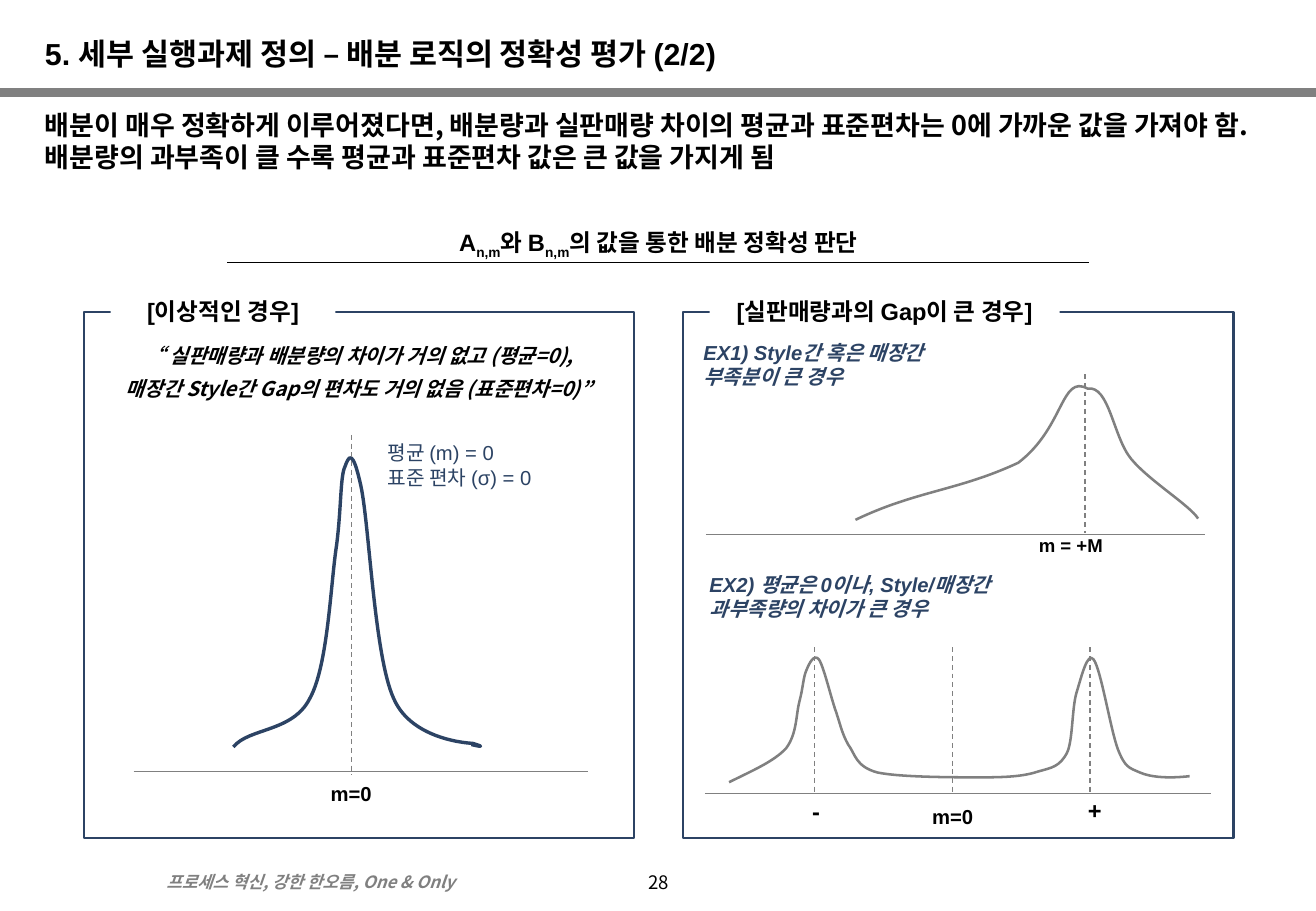
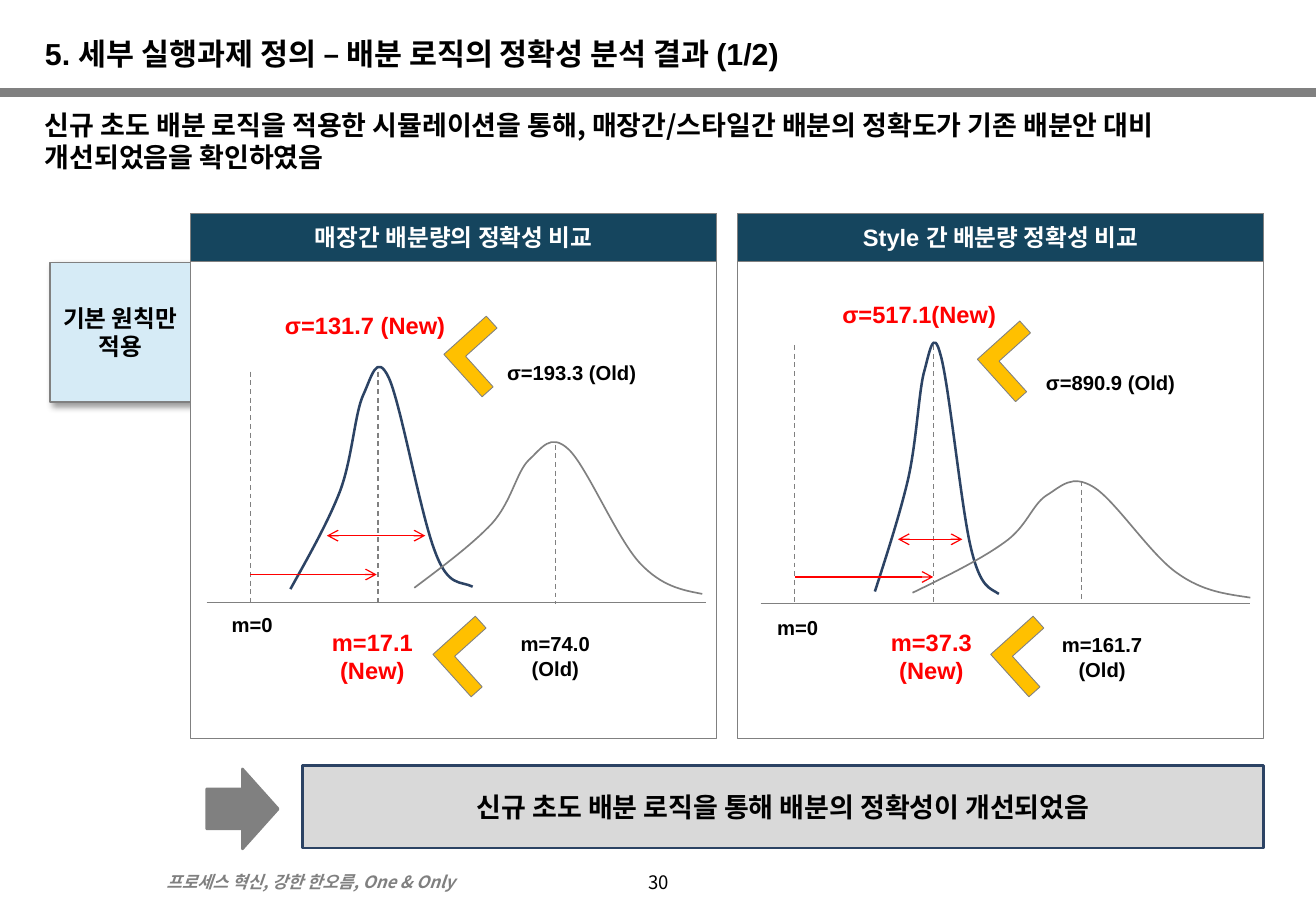
from dataclasses import dataclass, replace

from lxml.etree import SubElement
from pptx import Presentation
from pptx.dml.color import RGBColor
from pptx.enum.dml import MSO_LINE
from pptx.enum.shapes import MSO_CONNECTOR, MSO_SHAPE as Shape
from pptx.enum.text import MSO_ANCHOR as Anchor, MSO_AUTO_SIZE as AutoSize, PP_ALIGN as Align
from pptx.oxml.ns import qn
from pptx.util import Cm, Pt


@dataclass(frozen=True)
class Type:
    size: float
    color: str = "000000"
    font: str = "Arial"
    bold: bool = True
    italic: bool = False


class Theme:
    navy, gray, red, gold = "2C4364", "808080", "FF0000", "FFC000"
    white, header, pale, silver = "FFFFFF", "15455E", "D6EBF6", "D9D9D9"
    korean = "Noto Sans CJK KR"
    title = Type(18)
    lead = Type(16, font=korean)
    banner = Type(16)
    heading = Type(14)
    header_text = replace(heading, color=white)
    new = replace(heading, color=red)
    label = Type(12)
    small = Type(11)
    note = Type(12, navy, bold=False)
    example = Type(12, navy, italic=True)
    quote = Type(12, font=korean, italic=True)
    number = Type(11, font=korean, bold=False)
    motto = Type(10, gray, korean, italic=True)


# Positions are in slide units of one inch; length() turns them into Cm.
WIDTH, HEIGHT = 10.83, 7.5
MOTTO = "프로세스 혁신, 강한 한오름, One & Only"

EVALUATION = {
    "title": "5. 세부 실행과제 정의 – 배분 로직의 정확성 평가 (2/2)",
    "lead": "배분이 매우 정확하게 이루어졌다면, 배분량과 실판매량 차이의 평균과 표준편차는 0에 가까운 값을 "
            "가져야 함. 배분량의 과부족이 클 수록 평균과 표준편차 값은 큰 값을 가지게 됨",
    "number": "28",
}
SUBTITLE = "A|n,m|와 B|n,m|의 값을 통한 배분 정확성 판단"  # text between bars is subscript
CASES = [  # frame left, caption, caption width
    (0.69, "[이상적인 경우]", 1.85),
    (5.62, "[실판매량과의 Gap이 큰 경우]", 2.88),
]
QUOTE = ["“ 실판매량과 배분량의 차이가 거의 없고 (평균=0),",
         "매장간 Style간 Gap의 편차도 거의 없음 (표준편차=0)”"]
CASE_NOTES = [  # text, box, type, alignment, wrap
    (["평균 (m) = 0", "표준 편차 (σ) = 0"], (3.09, 3.58, 1.52, 0.44), Theme.note, Align.LEFT, False),
    ("EX1) Style간 혹은 매장간\v부족분이 큰 경우", (5.69, 2.75, 2.14, 0.5), Theme.example, Align.LEFT, False),
    ("EX2) 평균은 0이나, Style/매장간\v과부족량의 차이가 큰 경우", (5.74, 4.66, 3.32, 0.5),
     Theme.example, Align.LEFT, True),
    ("m=0", (2.53, 6.38, 0.72, 0.3), Theme.label, Align.CENTER, True),
    ("m = +M", (8.45, 4.35, 0.82, 0.29), Theme.small, Align.LEFT, False),
    ("m=0", (7.55, 6.57, 0.58, 0.3), Theme.label, Align.CENTER, False),
    ("-", (6.54, 6.51, 0.35, 0.34), Theme.heading, Align.CENTER, False),
    ("+", (8.84, 6.5, 0.34, 0.34), Theme.heading, Align.CENTER, False),
]
CASE_AXES = [(1.1, 4.84, 6.35), (5.81, 9.92, 4.4), (5.8, 9.97, 6.53)]  # left, right, y
CASE_MEANS = [(2.89, 3.58, 6.38), (8.93, 3.08, 4.39),  # x, top, bottom
              (6.7, 5.33, 6.53), (7.84, 5.33, 6.53), (8.97, 5.33, 6.53)]
# A curve is its start point, then three Bezier points for each segment.
IDEAL_CURVE = [
    (1.92, 6.15), (2.05, 5.99), (2.41, 6.03), (2.55, 5.75), (2.7, 5.48), (2.72, 4.81), (2.77, 4.49),
    (2.81, 4.18), (2.8, 3.92), (2.84, 3.84), (2.87, 3.76), (2.9, 3.68), (2.97, 4),
    (3.04, 4.32), (3.08, 5.4), (3.24, 5.75), (3.39, 6.1), (3.88, 6.12), (3.89, 6.12),
    (4.02, 6.16), (3.92, 6.14), (3.88, 6.13)]
SHORTAGE_CURVE = [
    (7.04, 4.28), (7.54, 4.04), (7.89, 4.04), (8.38, 3.81), (8.76, 3.52), (8.73, 3.08), (8.95, 3.2),
    (9.13, 3.17), (9.16, 3.6), (9.31, 3.78), (9.46, 3.96), (9.79, 4.16), (9.86, 4.27)]
TWO_PEAK_CURVE = [
    (6, 6.44), (6.18, 6.35), (6.37, 6.27), (6.47, 6.16), (6.56, 6.04), (6.55, 5.88), (6.58, 5.77),
    (6.61, 5.66), (6.61, 5.57), (6.64, 5.51), (6.66, 5.46), (6.7, 5.38), (6.74, 5.43),
    (6.78, 5.49), (6.84, 5.75), (6.88, 5.86), (6.92, 5.98), (6.93, 6.04), (6.98, 6.13),
    (7.04, 6.21), (7.04, 6.31), (7.22, 6.36), (7.41, 6.4), (7.86, 6.4), (8.08, 6.4),
    (8.3, 6.4), (8.43, 6.39), (8.55, 6.35), (8.66, 6.32), (8.72, 6.31), (8.78, 6.2),
    (8.83, 6.1), (8.82, 5.83), (8.86, 5.7), (8.9, 5.57), (8.95, 5.36), (9, 5.43),
    (9.06, 5.51), (9.14, 6.01), (9.2, 6.17), (9.26, 6.32), (9.29, 6.32), (9.38, 6.36),
    (9.47, 6.4), (9.62, 6.41), (9.79, 6.39)]
CASE_CURVES = [(IDEAL_CURVE, Theme.navy, 2), (SHORTAGE_CURVE, Theme.gray, 1.5),
               (TWO_PEAK_CURVE, Theme.gray, 1.5)]

RESULT = {
    "title": "5. 세부 실행과제 정의 – 배분 로직의 정확성 분석 결과 (1/2)",
    "lead": "신규 초도 배분 로직을 적용한 시뮬레이션을 통해, 매장간/스타일간 배분의 정확도가 "
            "기존 배분안 대비 개선되었음을 확인하였음",
    "number": "30",
}
RULE = "기본 원칙만 적용"
CONCLUSION = "신규 초도 배분 로직을 통해 배분의 정확성이 개선되었음"
COMPARISONS = [
    {
        "header": "매장간 배분량의 정확성 비교", "left": 1.57, "axis": (1.7, 5.81, 4.96),
        "means": [(2.06, 3.06, 4.97), (3.11, 3.06, 4.97), (4.57, 3.66, 4.97)],
        "spread": (2.69, 3.5, 4.41), "shift": (2.06, 3.1, 4.73),
        "new_curve": [
            (2.39, 4.85), (2.54, 4.58), (2.7, 4.3), (2.8, 4.04), (2.9, 3.77), (2.92, 3.4), (2.99, 3.25),
            (3.06, 3.1), (3.1, 2.9), (3.2, 3.11), (3.3, 3.33), (3.46, 4.23), (3.58, 4.54),
            (3.69, 4.84), (3.79, 4.78), (3.89, 4.83)],
        "old_curve": [
            (3.41, 4.84), (3.65, 4.66), (3.89, 4.48), (4.05, 4.31), (4.21, 4.13), (4.25, 3.89), (4.35, 3.79),
            (4.46, 3.69), (4.53, 3.56), (4.68, 3.7), (4.83, 3.84), (5.08, 4.44), (5.27, 4.64),
            (5.45, 4.83), (5.62, 4.86), (5.78, 4.89)],
        "new": [("σ=131.7 (New)", (2.17, 2.51, 1.67, 0.34)), ("m=17.1 (New)", (2.45, 5.12, 1.23, 0.57))],
        "old": [("σ=193.3 (Old)", (3.99, 2.92, 1.43, 0.3)), ("m=74.0 (Old)", (4.05, 5.15, 1.04, 0.5)),
                ("m=0", (1.76, 4.99, 0.63, 0.3))],
        "chevrons": [(3.75, 2.7), (3.66, 5.17)],
    },
    {
        "header": "Style 간 배분량 정확성 비교", "left": 6.07, "axis": (6.26, 10.29, 4.97),
        "means": [(6.54, 2.84, 4.97), (7.68, 2.84, 4.97), (8.9, 3.96, 4.97)],
        "spread": (7.39, 7.92, 4.44), "shift": (6.54, 7.68, 4.75),
        "new_curve": [
            (7.2, 4.87), (7.3, 4.56), (7.4, 4.25), (7.47, 3.96), (7.54, 3.66), (7.56, 3.25), (7.6, 3.08),
            (7.65, 2.9), (7.68, 2.69), (7.74, 2.92), (7.81, 3.16), (7.91, 4.18), (7.99, 4.51),
            (8.07, 4.85), (8.15, 4.84), (8.22, 4.89)],
        "old_curve": [
            (7.51, 4.88), (7.8, 4.74), (8.08, 4.6), (8.26, 4.47), (8.45, 4.34), (8.49, 4.16), (8.61, 4.08),
            (8.74, 4), (8.82, 3.9), (9, 4.01), (9.18, 4.12), (9.47, 4.57), (9.69, 4.72),
            (9.9, 4.87), (10.09, 4.89), (10.29, 4.92)],
        "new": [("σ=517.1(New)", (6.83, 2.42, 1.47, 0.34)), ("m=37.3 (New)", (7.11, 5.12, 1.11, 0.57))],
        "old": [("σ=890.9 (Old)", (8.46, 3, 1.36, 0.3)), ("m=161.7 (Old)", (8.49, 5.16, 1.16, 0.5)),
                ("m=0", (6.25, 5.02, 0.63, 0.3))],
        "chevrons": [(8.14, 2.74), (8.25, 5.17)],
    },
]


def length(value):
    return Cm(value * 2.54)


def lengths(values):
    return [length(value) for value in values]


def write(frame, text, style, align=Align.LEFT, line_spacing=None, gap=0):
    """Fill a frame with one paragraph or a list; text between bars is subscript."""
    for index, line in enumerate([text] if isinstance(text, str) else text):
        para = frame.add_paragraph() if index else frame.paragraphs[0]
        para.alignment = align
        para.space_before = Pt(gap if index else 0)
        if line_spacing:
            para.line_spacing = line_spacing
        first, *others = line.split("|")
        para.text = first
        for position, part in enumerate(others):
            span = para.add_run()
            span.text = part
            if position % 2 == 0:
                span.font._element.set("baseline", "-25000")
        for span in para.runs:
            font = span.font
            font.name, font.size = style.font, Pt(style.size)
            font.bold, font.italic = style.bold, style.italic
            font.color.rgb = RGBColor.from_string(style.color)
            SubElement(font._element, qn("a:ea"), typeface=Theme.korean)


def set_insets(frame, left, top, right, bottom):
    frame.margin_left, frame.margin_top, frame.margin_right, frame.margin_bottom = lengths(
        (left, top, right, bottom))


def add_text(page, text, box, style, align=Align.CENTER, wrap=True, **spacing):
    frame = page.shapes.add_textbox(*lengths(box)).text_frame
    frame.word_wrap = wrap
    frame.auto_size = AutoSize.SHAPE_TO_FIT_TEXT
    write(frame, text, style, align, **spacing)
    return frame


def paint(shape, fill=None, line=None, weight=0.5):
    shape.shadow.inherit = False
    for part, color in ((shape.fill, fill), (shape.line.fill, line)):
        if color:
            part.solid()
            part.fore_color.rgb = RGBColor.from_string(color)
        else:
            part.background()
    if line:
        shape.line.width = Pt(weight)


def add_block(page, box, fill=None, line=None, weight=0.5, kind=Shape.RECTANGLE):
    block = page.shapes.add_shape(kind, *lengths(box))
    paint(block, fill, line, weight)
    return block


def add_line(page, start, end, color=Theme.gray, weight=0.75, dashed=False, arrows=()):
    line = page.shapes.add_connector(MSO_CONNECTOR.STRAIGHT, *lengths(start + end))
    line.line.color.rgb = RGBColor.from_string(color)
    line.line.width = Pt(weight)
    if dashed:
        line.line.dash_style = MSO_LINE.DASH
    for end_name in arrows:
        SubElement(line.line._get_or_add_ln(), qn(f"a:{end_name}"), type="arrow")
    SubElement(line._element.spPr, qn("a:effectLst"))


def add_level(page, left, right, y, **look):
    add_line(page, (left, y), (right, y), **look)


def add_mean(page, x, top, bottom):
    add_line(page, (x, top), (x, bottom), dashed=True)


def add_curve(page, points, color, weight):
    """Draw the points as a freeform and join each three into one Bezier segment."""
    start, *others = [lengths(point) for point in points]
    builder = page.shapes.build_freeform(*start)
    builder.add_line_segments(others, close=False)
    curve = builder.convert_to_shape()
    paint(curve, line=color, weight=weight)
    outline = curve._element.xpath(".//a:path")[0]
    steps = outline.findall(qn("a:lnTo"))
    for index in range(0, len(steps), 3):
        bezier = SubElement(outline, qn("a:cubicBezTo"))
        for step in steps[index:index + 3]:
            bezier.append(step[0])
            outline.remove(step)


def add_shadow(shape):
    effects = shape._element.spPr.find(qn("a:effectLst"))
    shadow = SubElement(effects, qn("a:outerShdw"), blurRad=str(Pt(4)), dist=str(Pt(3)),
                        dir="2700000", algn="tl", rotWithShape="0")
    SubElement(SubElement(shadow, qn("a:srgbClr"), val="000000"), qn("a:alpha"), val="40000")


def place(holder, box):
    holder.left, holder.top, holder.width, holder.height = lengths(box)


def start_page(deck, content):
    """Add a slide with the title, lead, rule and footer that all slides share."""
    page = deck.slides.add_slide(deck.slide_layouts[1])
    title, body = page.placeholders
    for holder, box, text, style in ((title, (0.27, 0.24, 10.24, 0.46), content["title"], Theme.title),
                                     (body, (0.27, 0.84, 10.26, 0.83), content["lead"], Theme.lead)):
        place(holder, box)
        frame = holder.text_frame
        frame.vertical_anchor, frame.auto_size = Anchor.TOP, AutoSize.NONE
        write(frame, text, style)
    properties = body.text_frame.paragraphs[0]._p.get_or_add_pPr()
    properties.set("marL", "0")
    properties.set("indent", "0")
    SubElement(properties, qn("a:buNone"))
    add_level(page, 0, WIDTH, 0.76, weight=5)
    add_text(page, MOTTO, (1.27, 7.13, 3.32, 0.27), Theme.motto, Align.LEFT)
    number = add_text(page, content["number"], (4.92, 7.13, 1, 0.3), Theme.number, line_spacing=0.8)
    number.vertical_anchor, number.auto_size = Anchor.MIDDLE, AutoSize.NONE
    return page


def build_evaluation(deck):
    page = start_page(deck, EVALUATION)
    add_level(page, 1.87, 8.96, 2.16, color="000000")
    add_text(page, SUBTITLE, (1.91, 1.83, 7.02, 0.34), Theme.heading, wrap=False)
    for left, caption, width in CASES:
        add_block(page, (left, 2.57, 4.53, 4.33), line=Theme.navy, weight=1.5)
        plate = add_block(page, (left + 0.22, 2.39, width, 0.34), fill=Theme.white)
        write(plate.text_frame, caption, Theme.heading, Align.CENTER)
    for axis in CASE_AXES:
        add_level(page, *axis)
    for curve in CASE_CURVES:
        add_curve(page, *curve)
    for mean in CASE_MEANS:
        add_mean(page, *mean)
    for note in CASE_NOTES:
        add_text(page, *note)
    quote = add_text(page, QUOTE, (0.77, 2.79, 4.32, 0.5), Theme.quote, line_spacing=1.2, gap=2.4)
    quote.vertical_anchor = Anchor.MIDDLE
    set_insets(quote, 0.05, 0, 0, 0)


def add_comparison(page, data):
    left, top, width = data["left"], 1.76, 4.33
    add_block(page, (left, top, width, 4.32), Theme.white, Theme.gray)
    header = add_block(page, (left, top, width, 0.39), Theme.header, Theme.gray)
    set_insets(header.text_frame, 0.1, 0, 0.1, 0)
    write(header.text_frame, data["header"], Theme.header_text, Align.CENTER)
    add_level(page, *data["axis"])
    for mean in data["means"]:
        add_mean(page, *mean)
    add_curve(page, data["new_curve"], Theme.navy, 1.5)
    add_curve(page, data["old_curve"], Theme.gray, 1)
    add_level(page, *data["spread"], color=Theme.red, arrows=("headEnd", "tailEnd"))
    add_level(page, *data["shift"], color=Theme.red, arrows=("tailEnd",))
    for group, style in (("new", Theme.new), ("old", Theme.label)):
        for text, box in data[group]:
            add_text(page, text, box, style)
    for corner in data["chevrons"]:
        chevron = add_block(page, corner + (0.47, 0.47), Theme.gold, Theme.gray, kind=Shape.CORNER)
        chevron.rotation = 48
        chevron.adjustments[0], chevron.adjustments[1] = 0.26, 0.28


def build_result(deck):
    page = start_page(deck, RESULT)
    rule = add_block(page, (0.41, 2.16, 1.16, 1.15), Theme.pale, Theme.gray, 1)
    add_shadow(rule)
    set_insets(rule.text_frame, 0.06, 0, 0.06, 0)
    write(rule.text_frame, RULE, Theme.heading, Align.CENTER)
    for data in COMPARISONS:
        add_comparison(page, data)
    add_block(page, (1.7, 6.33, 0.59, 0.66), Theme.gray, Theme.gray, 1.5, Shape.RIGHT_ARROW)
    banner = add_block(page, (2.49, 6.3, 7.91, 0.68), Theme.silver, Theme.navy, 1.5)
    write(banner.text_frame, CONCLUSION, Theme.banner, Align.CENTER)


def main():
    deck = Presentation()
    deck.slide_width, deck.slide_height = lengths((WIDTH, HEIGHT))
    build_evaluation(deck)
    build_result(deck)
    deck.save("out.pptx")


if __name__ == "__main__":
    main()
